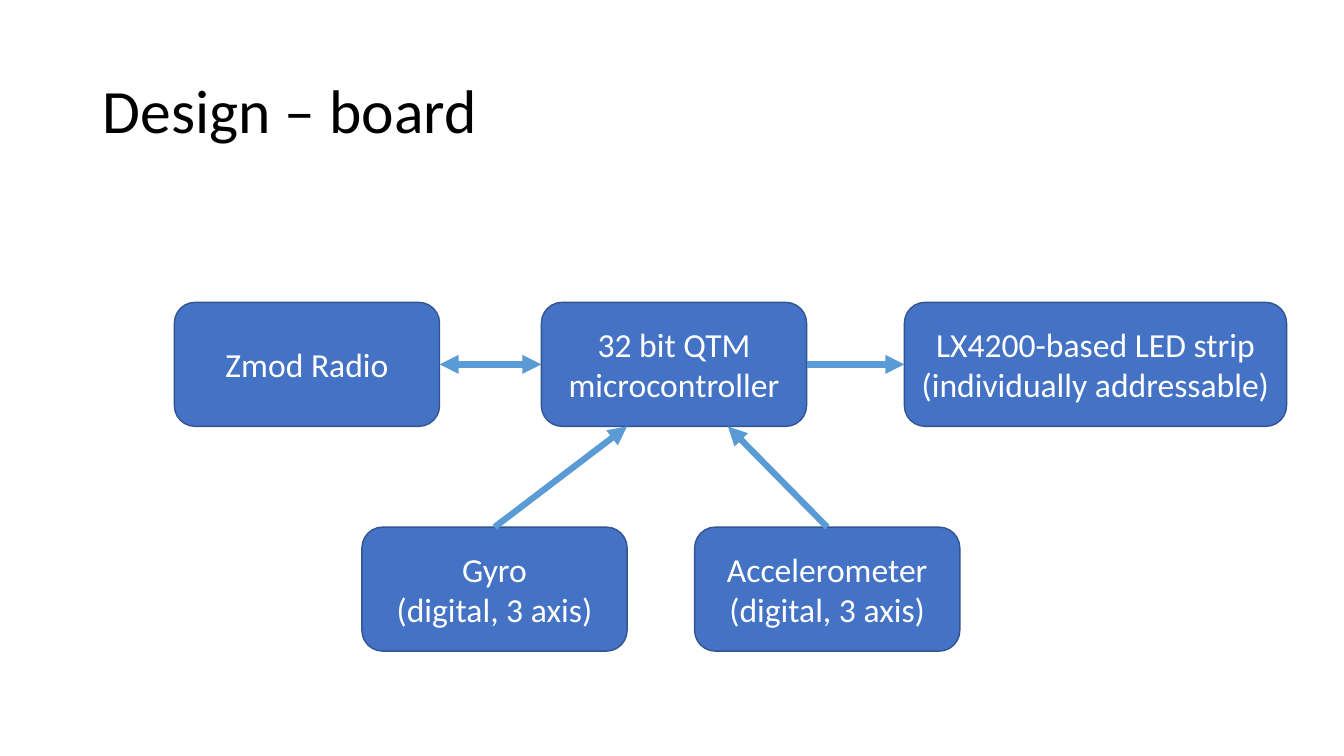
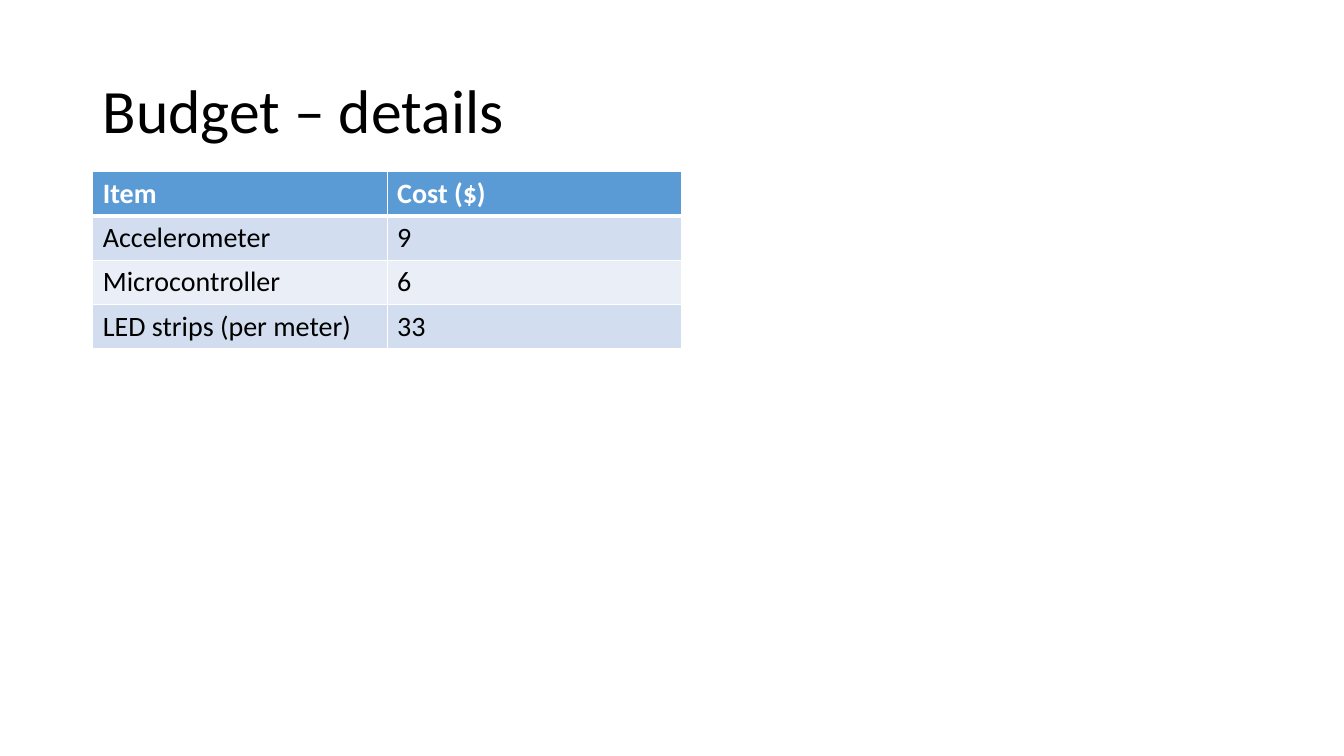
from lxml.etree import SubElement
from pptx import Presentation
from pptx.dml.color import RGBColor
from pptx.enum.shapes import MSO_CONNECTOR as Connector, MSO_SHAPE as Shape
from pptx.enum.text import MSO_ANCHOR as Anchor, MSO_AUTO_SIZE as AutoSize, PP_ALIGN as Align
from pptx.oxml.ns import qn
from pptx.util import Inches, Pt

FONT = "Calibri"
COLORS = {
    "text": "000000",
    "white": "FFFFFF",
    "block": "4472C4",
    "block_edge": "325491",
    "accent": "5B9BD5",
    "band_dark": "D2DEEF",
    "band_light": "EAEFF7",
}
TITLE_ONLY = 5
TOP, LEFT, BOTTOM, RIGHT = range(4)
BLOCK_WIDTH, BLOCK_HEIGHT = 2.63, 1.23
UPPER_ROW, LOWER_ROW = 3, 5.23
COLUMN_WIDTH, ROW_HEIGHT = 2.92, 0.43
BUDGET = [
    ("Item", "Cost ($)"),
    ("Accelerometer", "9"),
    ("Microcontroller", "6"),
    ("LED strips (per meter)", "33"),
]


def color(name):
    return RGBColor.from_string(COLORS[name])


def format_text(frame, size, color_name, align, bold=False):
    for paragraph in frame.paragraphs:
        paragraph.alignment = align
        for run in paragraph.runs:
            run.font.name = FONT
            run.font.size = Pt(size)
            run.font.bold = bold
            run.font.color.rgb = color(color_name)


def add_titled_slide(prs, heading):
    slide = prs.slides.add_slide(prs.slide_layouts[TITLE_ONLY])
    title = slide.shapes.title
    title.left, title.top = Inches(0.92), Inches(0.4)
    title.width, title.height = Inches(11.5), Inches(1.45)
    frame = title.text_frame
    frame.text = heading
    frame.word_wrap = True
    frame.auto_size = AutoSize.NONE
    frame.vertical_anchor = Anchor.MIDDLE
    frame.paragraphs[0].line_spacing = 0.9
    format_text(frame, 44, "text", Align.LEFT)
    return slide


def add_block(shapes, label, left, top, width=BLOCK_WIDTH):
    block = shapes.add_shape(Shape.ROUNDED_RECTANGLE, Inches(left), Inches(top),
                             Inches(width), Inches(BLOCK_HEIGHT))
    block.shadow.inherit = False
    block.fill.solid()
    block.fill.fore_color.rgb = color("block")
    block.line.color.rgb = color("block_edge")
    block.line.width = Pt(1)
    frame = block.text_frame
    frame.text = label
    frame.word_wrap = True
    frame.vertical_anchor = Anchor.MIDDLE
    format_text(frame, 24, "white", Align.CENTER)
    return block


def add_arrow(shapes, source, source_side, target, target_side=None, end=(0, 0), both_ways=False):
    arrow = shapes.add_connector(Connector.STRAIGHT, source.left, source.top,
                                 Inches(end[0]), Inches(end[1]))
    arrow.begin_connect(source, source_side)
    if target_side is not None:
        arrow.end_connect(target, target_side)
    arrow.line.color.rgb = color("accent")
    arrow.line.width = Pt(4.5)
    line = arrow.line._get_or_add_ln()
    for tag in ("a:headEnd", "a:tailEnd") if both_ways else ("a:tailEnd",):
        SubElement(line, qn(tag), type="triangle")
    SubElement(arrow._element.spPr, qn("a:effectLst"))


def add_board_slide(prs):
    slide = add_titled_slide(prs, "Design – board")
    shapes = slide.shapes
    controller = add_block(shapes, "32 bit QTM microcontroller", 5.37, UPPER_ROW)
    gyro = add_block(shapes, "Gyro\n(digital, 3 axis)", 3.59, LOWER_ROW)
    accelerometer = add_block(shapes, "Accelerometer\n(digital, 3 axis)", 6.89, LOWER_ROW)
    strip = add_block(shapes, "LX4200-based LED strip\n(individually addressable)",
                      8.97, UPPER_ROW, 3.79)
    radio = add_block(shapes, "Zmod Radio", 1.73, UPPER_ROW)
    controller_bottom = UPPER_ROW + BLOCK_HEIGHT
    add_arrow(shapes, gyro, TOP, controller, end=(6.22, controller_bottom))
    add_arrow(shapes, accelerometer, TOP, controller, end=(7.22, controller_bottom))
    add_arrow(shapes, controller, RIGHT, strip, LEFT)
    add_arrow(shapes, radio, RIGHT, controller, LEFT, both_ways=True)


def set_borders(cell, top, bottom):
    properties = cell._tc.get_or_add_tcPr()
    for side, width in (("L", 1), ("R", 1), ("T", top), ("B", bottom)):
        border = SubElement(properties, qn(f"a:ln{side}"), w=str(Pt(width)))
        fill = SubElement(border, qn("a:solidFill"))
        SubElement(fill, qn("a:srgbClr"), val=COLORS["white"])


def style_cell(cell, row):
    header = row == 0
    set_borders(cell, 3 if row == 1 else 1, 3 if header else 1)
    band = "band_dark" if row % 2 else "band_light"
    cell.fill.solid()
    cell.fill.fore_color.rgb = color("accent" if header else band)
    format_text(cell.text_frame, 20, "white" if header else "text", Align.LEFT, header)


def add_budget_slide(prs):
    slide = add_titled_slide(prs, "Budget – details")
    rows, columns = len(BUDGET), len(BUDGET[0])
    table = slide.shapes.add_table(rows, columns, Inches(0.92), Inches(1.7),
                                   Inches(columns * COLUMN_WIDTH),
                                   Inches(rows * ROW_HEIGHT)).table
    for column in table.columns:
        column.width = Inches(COLUMN_WIDTH)
    for row, values in enumerate(BUDGET):
        table.rows[row].height = Inches(ROW_HEIGHT)
        for column, value in enumerate(values):
            cell = table.cell(row, column)
            cell.text_frame.text = value
            style_cell(cell, row)


def main():
    prs = Presentation()
    prs.slide_width, prs.slide_height = Inches(13.33), Inches(7.5)
    add_board_slide(prs)
    add_budget_slide(prs)
    prs.save("out.pptx")


if __name__ == "__main__":
    main()
